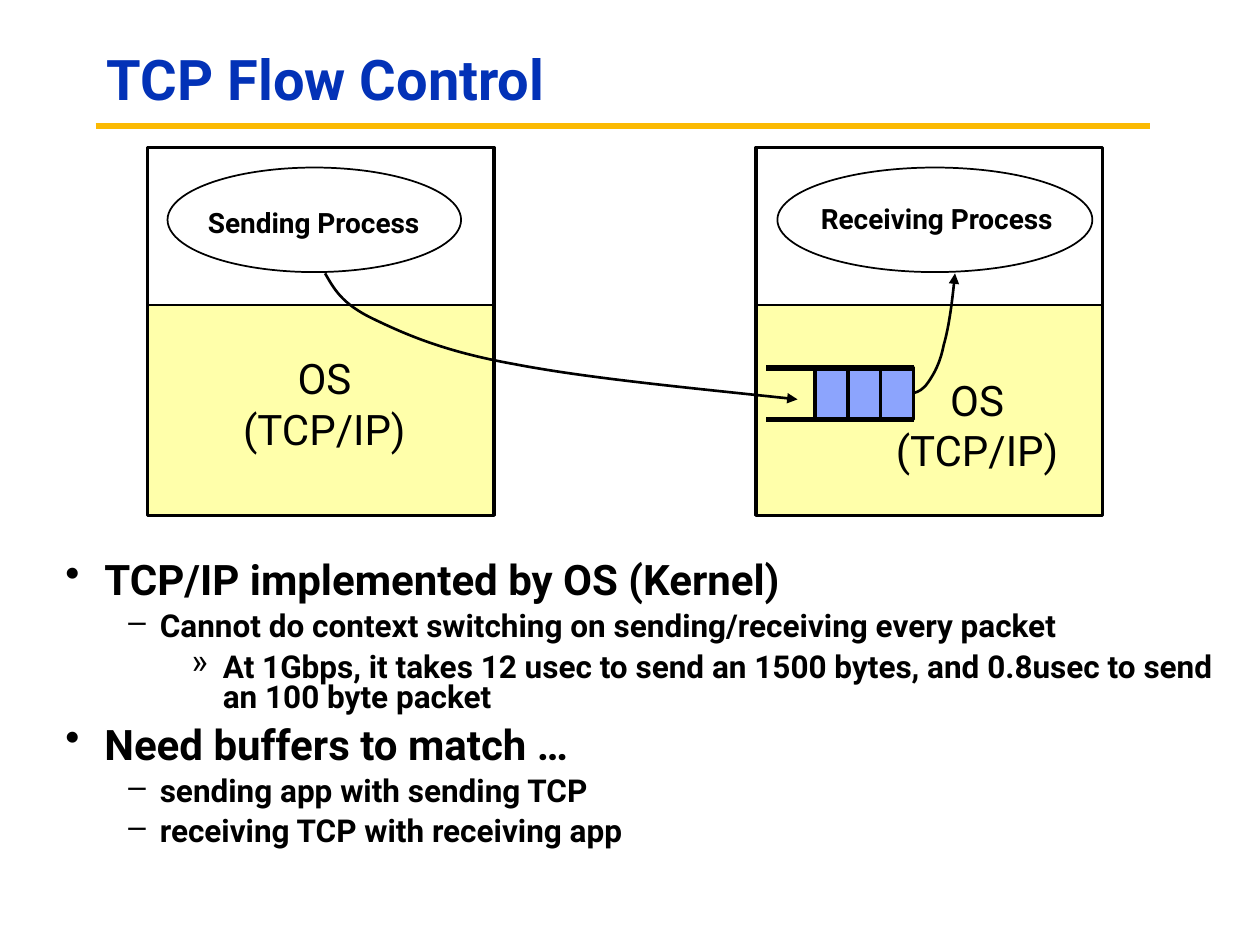
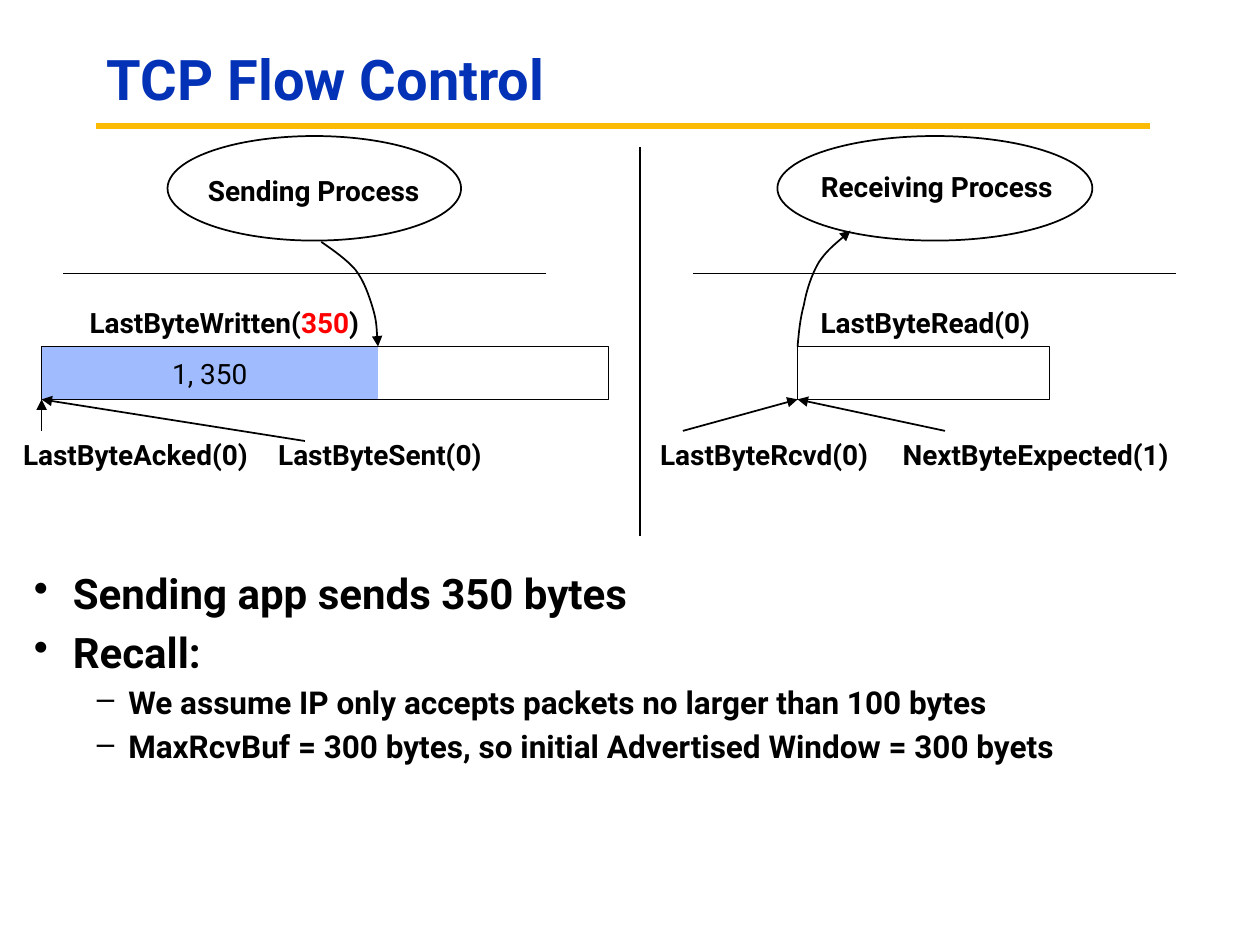
from dataclasses import dataclass
from typing import NamedTuple, Optional

from lxml import etree
from pptx import Presentation
from pptx.dml.color import RGBColor
from pptx.enum.shapes import MSO_CONNECTOR, MSO_SHAPE
from pptx.enum.text import MSO_ANCHOR, MSO_AUTO_SIZE, PP_ALIGN
from pptx.oxml.ns import qn
from pptx.shapes.autoshape import Shape
from pptx.slide import Slide
from pptx.util import Inches, Pt

RECTANGLE, ELLIPSE = MSO_SHAPE.RECTANGLE, MSO_SHAPE.OVAL
STRAIGHT = MSO_CONNECTOR.STRAIGHT
CENTER, MIDDLE = PP_ALIGN.CENTER, MSO_ANCHOR.MIDDLE
FIT_TEXT = MSO_AUTO_SIZE.SHAPE_TO_FIT_TEXT


@dataclass(frozen=True)
class Theme:
    font: str = "Roboto"
    ink: str = "000000"
    title: str = "0332B7"
    rule: str = "FBBA03"
    kernel: str = "FFFFAA"
    cell: str = "8CA4FD"
    written: str = "A0BCFE"
    accent: str = "FF0000"
    title_size: int = 32
    large_size: int = 24
    detail_size: int = 18
    label_size: int = 16


THEME = Theme()


class Area(NamedTuple):
    left: float
    top: float
    width: float
    height: float


class Point(NamedTuple):
    x: float
    y: float


class Level(NamedTuple):
    bullet: str
    margin: float
    hanging: float
    size: int


class Item(NamedTuple):
    level: int
    text: str


class Label(NamedTuple):
    text: str
    area: Area


class Process(NamedTuple):
    name: str
    left: float
    width: float
    label_left: float
    label_width: float
    label_drop: float


LEVELS = (
    Level("•", 0.31, 0.31, THEME.large_size),
    Level("–", 0.75, 0.25, THEME.detail_size),
    Level("»", 1.25, 0.25, THEME.detail_size),
)
PROCESSES = (
    Process("Sending Process", 1.33, 2.33, 1.48, 2.02, 0.25),
    Process("Receiving Process", 6.17, 2.5, 6.34, 2.19, 0.22),
)
LABEL_HEIGHT = 0.37
SPACE_BEFORE = 0.32  # share of the type size


def inches(values: tuple) -> list:
    return [Inches(value) for value in values]


def style_text(para, size: int, color: str = THEME.ink, bold: bool = True) -> None:
    font = para.font
    font.name, font.size, font.bold = THEME.font, Pt(size), bold
    font.color.rgb = RGBColor.from_string(color)


def style_line(line, width: float, color: str = THEME.ink, arrow: bool = False) -> None:
    line.width = Pt(width)
    line.fill.solid()
    line.fill.fore_color.rgb = RGBColor.from_string(color)
    if arrow:
        etree.SubElement(line._get_or_add_ln(), qn("a:tailEnd"), type="triangle")


def add_block(page: Slide, kind: int, area: Area, fill: Optional[str] = None,
              line_width: float = 0) -> Shape:
    block = page.shapes.add_shape(kind, *inches(area))
    block.shadow.inherit = False
    if fill:
        block.fill.solid()
        block.fill.fore_color.rgb = RGBColor.from_string(fill)
    else:
        block.fill.background()
    if line_width:
        style_line(block.line, line_width)
    else:
        block.line.fill.background()
    return block


def add_line(page: Slide, start: Point, end: Point, width: float = 1,
             color: str = THEME.ink, arrow: bool = False) -> None:
    line = page.shapes.add_connector(STRAIGHT, *inches(start + end))
    style_line(line.line, width, color, arrow)
    etree.SubElement(line._element.spPr, qn("a:effectLst"))


def add_curved_arrow(page: Slide, points: tuple, width: float) -> None:
    """Draw cubic curves through a start point and then triples of points."""
    start, *rest = [tuple(inches(point)) for point in points]
    builder = page.shapes.build_freeform(*start)
    builder.add_line_segments(rest, close=False)
    arrow = builder.convert_to_shape()
    arrow.shadow.inherit = False
    arrow.fill.background()
    style_line(arrow.line, width, arrow=True)
    outline = next(arrow._element.iter(qn("a:path")))
    segments = outline.findall(qn("a:lnTo"))
    for first in range(0, len(segments), 3):
        curve = etree.SubElement(outline, qn("a:cubicBezTo"))
        for segment in segments[first:first + 3]:
            curve.append(segment[0])
            outline.remove(segment)


def add_label(page: Slide, label: Label, size: int = THEME.label_size,
              bold: bool = True) -> Shape:
    box = page.shapes.add_textbox(*inches(label.area))
    frame = box.text_frame
    frame.word_wrap = False
    frame.auto_size = FIT_TEXT
    frame.text = label.text
    for para in frame.paragraphs:
        para.alignment = CENTER
        style_text(para, size, bold=bold)
    return box


def add_title(page: Slide, text: str) -> None:
    add_line(page, Point(0.76, 1), Point(9.13, 1), 3.75, THEME.rule)
    box = page.shapes.add_textbox(*inches((0.75, 0.25, 8.42, 0.81)))
    frame = box.text_frame
    frame.word_wrap = True
    frame.vertical_anchor = MIDDLE
    para = frame.paragraphs[0]
    para.text = text
    para.line_spacing = 0.9
    style_text(para, THEME.title_size, THEME.title)


def add_bullets(page: Slide, area: Area, items: tuple, spacing: float) -> None:
    frame = page.shapes.add_textbox(*inches(area)).text_frame
    frame.word_wrap = True
    for index, item in enumerate(items):
        para = frame.add_paragraph() if index else frame.paragraphs[0]
        level = LEVELS[item.level]
        para.text = item.text
        para.level = item.level
        para.line_spacing = spacing
        para.space_before = Pt(level.size * SPACE_BEFORE if index else 0)
        properties = para._p.get_or_add_pPr()
        properties.set("marL", str(Inches(level.margin)))
        properties.set("indent", str(-Inches(level.hanging)))
        etree.SubElement(properties, qn("a:buChar"), char=level.bullet)
        style_text(para, level.size)


def add_processes(page: Slide, top: float) -> None:
    for process in PROCESSES:
        add_block(page, ELLIPSE, Area(process.left, top, process.width, 0.83), line_width=1)
        add_label(page, Label(process.name, Area(
            process.label_left, top + process.label_drop, process.label_width, LABEL_HEIGHT)))


def add_receive_buffer(page: Slide) -> None:
    left, right, top, bottom = 6.08, 7.25, 2.92, 3.33
    cell_width = 0.26
    for index in range(3):
        cell_left = right - cell_width * (index + 1)
        add_block(page, RECTANGLE, Area(cell_left, top, cell_width, bottom - top),
                  THEME.cell, 2)
    for edge in (top, bottom):
        add_line(page, Point(left, edge), Point(right, edge), 3)


def build_hosts_slide(page: Slide) -> None:
    add_title(page, "TCP Flow Control")
    host_width, host_top, kernel_top, host_bottom = 2.75, 1.17, 2.42, 4.09
    for left in (1.17, 6):
        add_block(page, RECTANGLE, Area(left, kernel_top, host_width, host_bottom - kernel_top),
                  THEME.kernel)
        add_block(page, RECTANGLE, Area(left, host_top, host_width, host_bottom - host_top),
                  line_width=2)
        add_line(page, Point(left, kernel_top), Point(left + host_width, kernel_top))
    add_bullets(page, Area(0.42, 4.42, 9.58, 3.08), (
        Item(0, "TCP/IP implemented by OS (Kernel)"),
        Item(1, "Cannot do context switching on sending/receiving every packet"),
        Item(2, "At 1Gbps, it takes 12 usec to send an 1500 bytes, "
                "and 0.8usec to send an 100 byte packet"),
        Item(0, "Need buffers to match …"),
        Item(1, "sending app with sending TCP"),
        Item(1, "receiving TCP with receiving app"),
    ), 0.8)
    add_processes(page, 1.33)
    add_receive_buffer(page)
    for left, top in ((1.82, 2.75), (7, 2.92)):
        add_label(page, Label("OS\n(TCP/IP)", Area(left, top, 1.51, 0.91)),
                  THEME.large_size, bold=False)
    send_curve = ((2.58, 2.17), (2.65, 2.29), (2.71, 2.41), (2.96, 2.53), (3.21, 2.65),
                  (3.52, 2.79), (4.08, 2.89), (4.65, 3), (5.49, 3.08), (6.33, 3.17))
    receive_curve = ((7.25, 3.12), (7.29, 3.11), (7.33, 3.09), (7.37, 3.03), (7.41, 2.97),
                     (7.46, 2.89), (7.49, 2.74), (7.53, 2.6), (7.56, 2.38), (7.58, 2.17))
    for curve in (send_curve, receive_curve):
        add_curved_arrow(page, curve, 1.5)


def build_pointers_slide(page: Slide) -> None:
    add_title(page, "TCP Flow Control")
    add_bullets(page, Area(0.17, 4.5, 9.83, 2.42), (
        Item(0, "Sending app sends 350 bytes"),
        Item(0, "Recall:"),
        Item(1, "We assume IP only accepts packets no larger than 100 bytes"),
        Item(1, "MaxRcvBuf = 300 bytes, so initial Advertised Window = 300 byets"),
    ), 0.9)
    add_processes(page, 1.08)

    send_left, receive_left, buffer_top, buffer_height = 0.33, 6.33, 2.75, 0.42
    buffer_bottom = buffer_top + buffer_height
    written = add_block(page, RECTANGLE, Area(send_left, buffer_top, 2.67, buffer_height),
                        THEME.written)
    written.text_frame.vertical_anchor = MIDDLE
    para = written.text_frame.paragraphs[0]
    para.text = "1, 350"
    para.alignment = CENTER
    style_text(para, THEME.label_size, bold=False)
    for left, width in ((send_left, 4.5), (receive_left, 2)):
        add_block(page, RECTANGLE, Area(left, buffer_top, width, buffer_height), line_width=1)

    add_line(page, Point(5.08, 1.17), Point(5.08, 4.25))
    for left in (0.5, 5.5):
        add_line(page, Point(left, 2.17), Point(left + 3.83, 2.17))
    for start, target in (
        (Point(send_left, 3.42), send_left),
        (Point(2.42, 3.5), send_left),
        (Point(5.42, 3.42), receive_left),
        (Point(7.5, 3.42), receive_left),
    ):
        add_line(page, start, Point(target, buffer_bottom), arrow=True)

    for text, left, top, width in (
        ("LastByteAcked(0)", 0.03, 3.42, 2.09),
        ("LastByteSent(0)", 2.06, 3.42, 1.91),
        ("LastByteRcvd(0)", 5.08, 3.42, 1.97),
        ("NextByteExpected(1)", 7, 3.42, 2.44),
        ("LastByteRead(0)", 6.36, 2.38, 1.97),
    ):
        add_label(page, Label(text, Area(left, top, width, LABEL_HEIGHT)))
    box = add_label(page, Label("LastByteWritten(", Area(0.56, 2.38, 2.44, LABEL_HEIGHT)))
    para = box.text_frame.paragraphs[0]
    count = para.add_run()
    count.text = "350"
    count.font.color.rgb = RGBColor.from_string(THEME.accent)
    para.add_run().text = ")"

    write_curve = ((2.55, 1.92), (2.65, 1.99), (2.75, 2.06), (2.82, 2.14), (2.89, 2.23),
                   (2.93, 2.35), (2.96, 2.45), (2.99, 2.55), (2.99, 2.65), (3, 2.75))
    read_curve = ((6.33, 2.75), (6.34, 2.64), (6.35, 2.53), (6.38, 2.42), (6.4, 2.31),
                  (6.44, 2.18), (6.5, 2.08), (6.56, 1.99), (6.66, 1.91), (6.75, 1.83))
    for curve in (write_curve, read_curve):
        add_curved_arrow(page, curve, 1)


def main() -> None:
    deck = Presentation()
    deck.slide_width, deck.slide_height = Inches(10), Inches(7.5)
    blank = deck.slide_layouts[6]
    for build in (build_hosts_slide, build_pointers_slide):
        build(deck.slides.add_slide(blank))
    deck.save("out.pptx")


if __name__ == "__main__":
    main()
